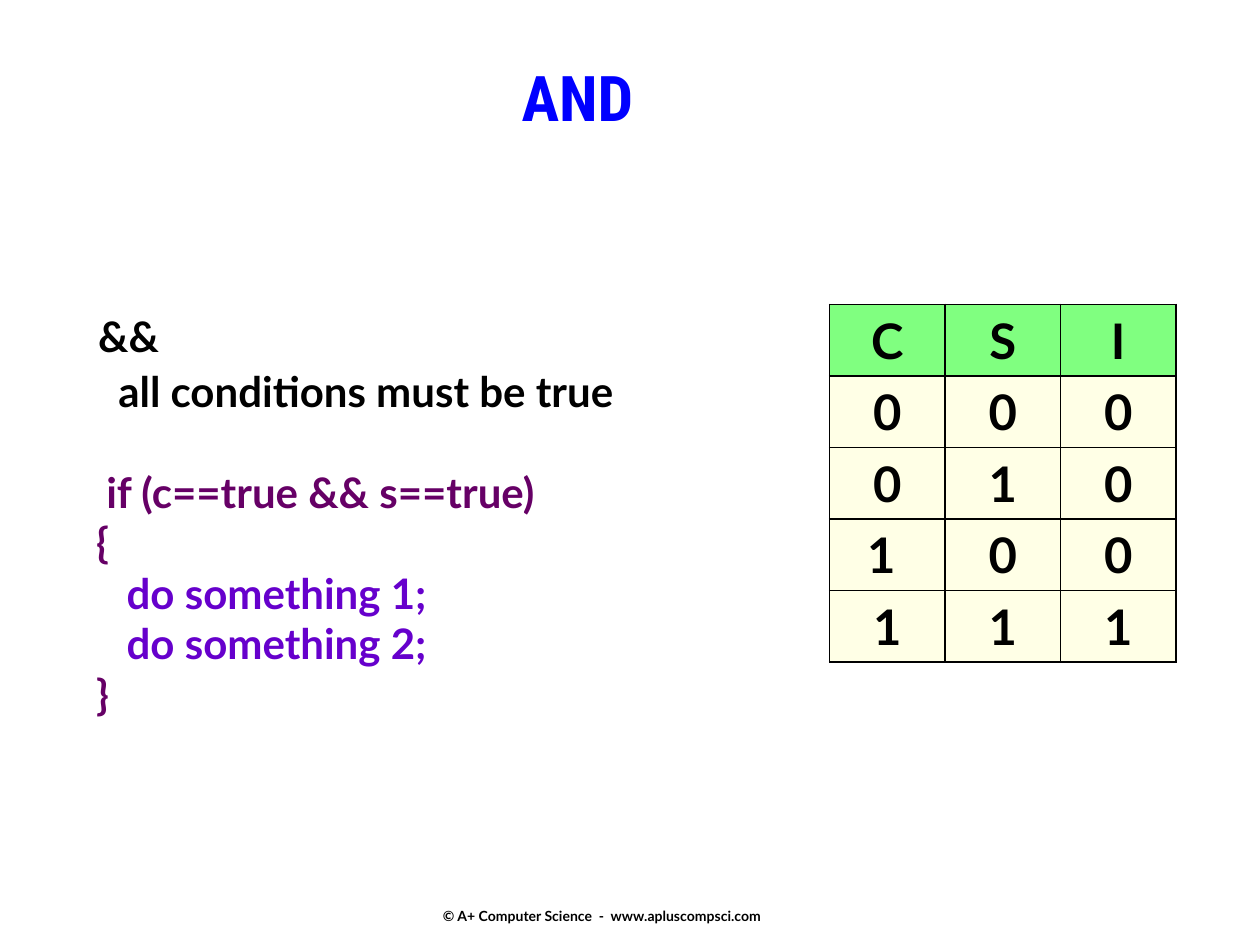
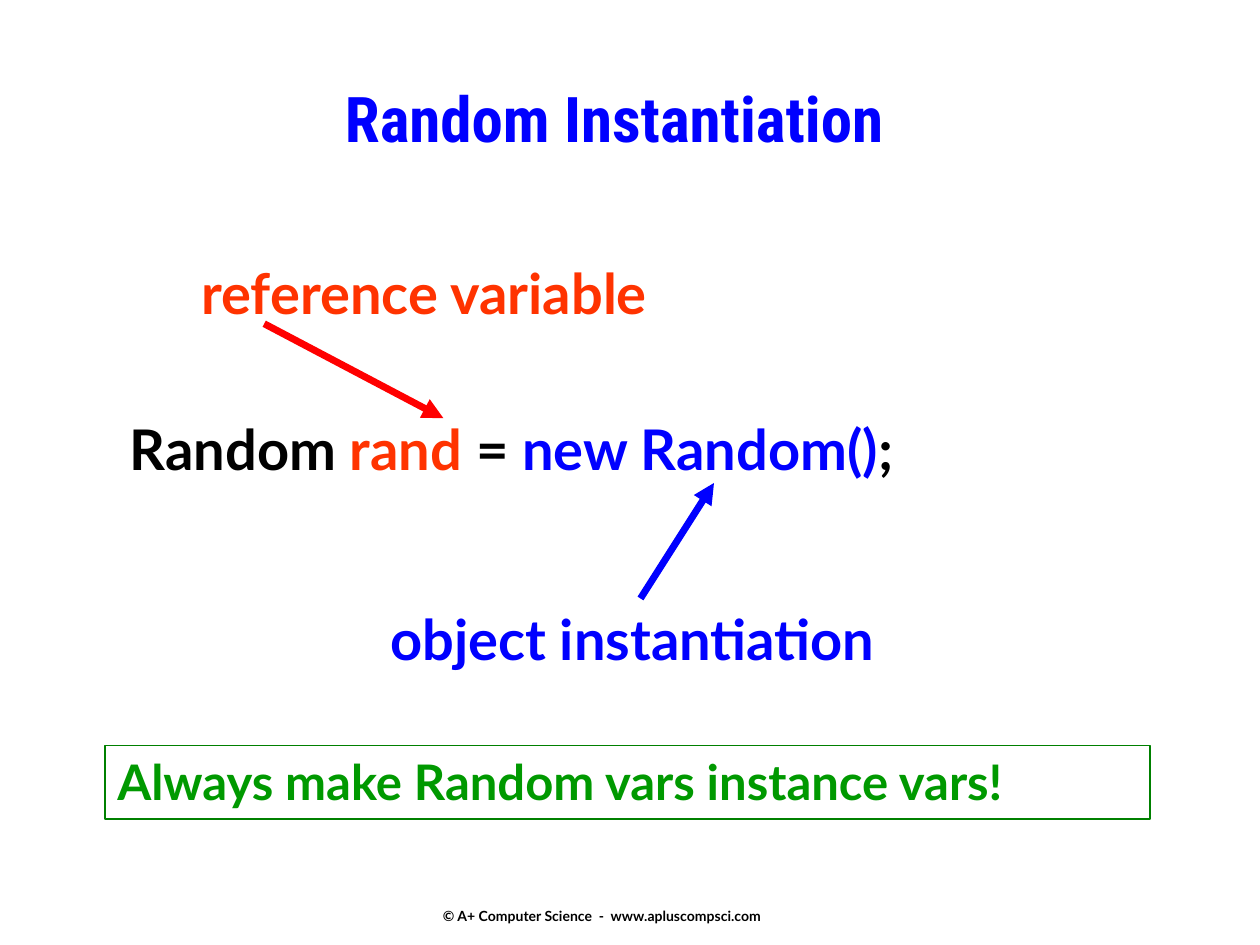
from dataclasses import dataclass

from lxml import etree
from pptx import Presentation
from pptx.dml.color import RGBColor
from pptx.enum.shapes import MSO_CONNECTOR, MSO_SHAPE
from pptx.enum.text import MSO_ANCHOR, MSO_AUTO_SIZE, PP_ALIGN
from pptx.oxml.ns import qn
from pptx.util import Pt

CENTER, LEFT = PP_ALIGN.CENTER, PP_ALIGN.LEFT
TOP, BOTTOM = MSO_ANCHOR.TOP, MSO_ANCHOR.BOTTOM
NO_AUTOSIZE = MSO_AUTO_SIZE.NONE
RECTANGLE = MSO_SHAPE.RECTANGLE
STRAIGHT = MSO_CONNECTOR.STRAIGHT
TITLE_ONLY = 5


@dataclass(frozen=True)
class Theme:
    title_font: str = "Roboto Condensed"
    body_font: str = "Lato"
    title_size: float = 36
    label_size: float = 32
    table_size: float = 28
    code_size: float = 24
    footer_size: float = 8
    black: str = "000000"
    white: str = "FFFFFF"
    blue: str = "0000FF"
    red: str = "FF0000"
    orange: str = "FF3300"
    plum: str = "660066"
    violet: str = "6600CC"
    green: str = "009900"
    frame_green: str = "008000"
    header_fill: str = "80FF80"
    cell_fill: str = "FFFFE6"


@dataclass(frozen=True)
class Box:
    left: float
    top: float
    width: float
    height: float

    def inner(self, x, y, width, height):
        return Box(self.left + x, self.top + y, width, height)

    def lengths(self):
        return Pt(self.left), Pt(self.top), Pt(self.width), Pt(self.height)


THEME = Theme()
FOOTER_BOX = Box(246, 492, 228, 36)
FOOTER_TEXT = "© A+ Computer Science  -  www.apluscompsci.com"


def rgb(color):
    return RGBColor.from_string(color)


def style_font(font, size, color, name=THEME.body_font):
    font.name = name
    font.size = Pt(size)
    font.bold = True
    font.color.rgb = rgb(color)


def write(paragraph, parts, size):
    for text, color in parts:
        run = paragraph.add_run()
        run.text = text
        style_font(run.font, size, color)


def add_label(slide, box, parts, size):
    label = slide.shapes.add_textbox(*box.lengths())
    label.text_frame.word_wrap = True
    write(label.text_frame.paragraphs[0], parts, size)
    return label


def add_title(slide, box, text):
    title = slide.shapes.title
    title.left, title.top, title.width, title.height = box.lengths()
    frame = title.text_frame
    frame.text = text
    frame.auto_size = NO_AUTOSIZE
    frame.vertical_anchor = TOP
    paragraph = frame.paragraphs[0]
    paragraph.alignment = CENTER
    style_font(paragraph.runs[0].font, THEME.title_size, THEME.blue, THEME.title_font)


def add_footer(slide, box):
    footer = add_label(slide, box, [(FOOTER_TEXT, THEME.black)], THEME.footer_size)
    footer.text_frame.vertical_anchor = BOTTOM
    footer.text_frame.margin_bottom = 0


def start_slide(presentation, title, title_box):
    slide = presentation.slides.add_slide(presentation.slide_layouts[TITLE_ONLY])
    add_footer(slide, FOOTER_BOX)
    add_title(slide, title_box, title)
    return slide


def add_code(slide, box):
    lines = [
        ("&&", THEME.black, 7, 0, 2.6),
        ("all conditions must be true", THEME.black, 18.5, 0, 0),
        ("  if (c==true && s==true)", THEME.plum, 0, 28.8, 0),
        (" {", THEME.plum, 0, 0, 0),
        ("    do something 1;", THEME.violet, 0, 0, 0),
        ("    do something 2;", THEME.violet, 0, 0, 0),
        (" }", THEME.plum, 0, 0, 0),
    ]
    frame = slide.shapes.add_textbox(*box.lengths()).text_frame
    frame.word_wrap = True
    for index, (text, color, indent, before, after) in enumerate(lines):
        paragraph = frame.add_paragraph() if index else frame.paragraphs[0]
        if indent:
            paragraph._p.get_or_add_pPr().set("marL", str(Pt(indent)))
        if before:
            paragraph.space_before = Pt(before)
        if after:
            paragraph.space_after = Pt(after)
        write(paragraph, [(text, color)], THEME.code_size)


def set_borders(cell, color, width):
    properties = cell._tc.get_or_add_tcPr()
    for index, side in enumerate(("a:lnL", "a:lnR", "a:lnT", "a:lnB")):
        line = etree.Element(qn(side), w=str(Pt(width)))
        fill = etree.SubElement(line, qn("a:solidFill"))
        etree.SubElement(fill, qn("a:srgbClr"), val=color)
        properties.insert(index, line)


def add_truth_table(slide, box, rows):
    columns = len(rows[0])
    table = slide.shapes.add_table(len(rows), columns, *box.lengths()).table
    for column in table.columns:
        column.width = Pt(box.width / columns)
    for row_index, values in enumerate(rows):
        table.rows[row_index].height = Pt(box.height / len(rows))
        for column_index, value in enumerate(values):
            cell = table.cell(row_index, column_index)
            cell.fill.solid()
            cell.fill.fore_color.rgb = rgb(
                THEME.cell_fill if row_index else THEME.header_fill)
            set_borders(cell, THEME.black, 1)
            cell.text_frame.text = value
            paragraph = cell.text_frame.paragraphs[0]
            paragraph.alignment = CENTER
            style_font(paragraph.runs[0].font, THEME.table_size, THEME.black)


def add_arrow(slide, box, start, end, color):
    points = [Pt(value) for x, y in (start, end)
              for value in (box.left + x, box.top + y)]
    arrow = slide.shapes.add_connector(STRAIGHT, *points)
    arrow.line.color.rgb = rgb(color)
    arrow.line.width = Pt(4)
    etree.SubElement(arrow.line._get_or_add_ln(), qn("a:tailEnd"), type="triangle")
    etree.SubElement(arrow._element.spPr, qn("a:effectLst"))


def add_statement_diagram(slide, box):
    statement = [
        ("Random ", THEME.black),
        ("rand", THEME.orange),
        (" = ", THEME.black),
        ("new Random()", THEME.blue),
        (";", THEME.black),
    ]
    label = add_label(slide, box.inner(7, 89.3, 533, 45), statement, THEME.label_size)
    label.fill.solid()
    label.fill.fore_color.rgb = rgb(THEME.white)
    add_arrow(slide, box, (91, 41), (193.4, 95), THEME.red)
    add_label(slide, box.inner(48, 0, 307, 45),
              [("reference variable", THEME.orange)], THEME.label_size)
    add_arrow(slide, box, (306, 198), (348, 132), THEME.blue)
    add_label(slide, box.inner(156, 198, 329, 45),
              [("object instantiation", THEME.blue)], THEME.label_size)


def add_note(slide, box, text):
    note = slide.shapes.add_shape(RECTANGLE, *box.lengths())
    note.shadow.inherit = False
    note.fill.background()
    note.line.color.rgb = rgb(THEME.frame_green)
    note.line.width = Pt(1)
    frame = note.text_frame
    frame.word_wrap = True
    frame.vertical_anchor = TOP
    paragraph = frame.paragraphs[0]
    paragraph.alignment = LEFT
    write(paragraph, [(text, THEME.green)], THEME.table_size)


def add_and_slide(presentation):
    slide = start_slide(presentation, "AND", Box(138, 30, 384, 84))
    rows = [
        ("C", "S", "I"),
        ("0", "0", "0"),
        ("0", "1", "0"),
        ("1 ", "0", "0"),
        ("1", "1", "1"),
    ]
    add_truth_table(slide, Box(474, 174, 198, 204), rows)
    add_code(slide, Box(42, 174, 364, 240))


def add_random_slide(presentation):
    slide = start_slide(presentation, "Random Instantiation", Box(54, 42, 594, 60))
    add_statement_diagram(slide, Box(60, 144, 540, 243))
    add_note(slide, Box(60, 426, 597, 42), "Always make Random vars instance vars!")


def main():
    presentation = Presentation()
    presentation.slide_width = Pt(720)
    presentation.slide_height = Pt(540)
    add_and_slide(presentation)
    add_random_slide(presentation)
    presentation.save("out.pptx")


if __name__ == "__main__":
    main()
